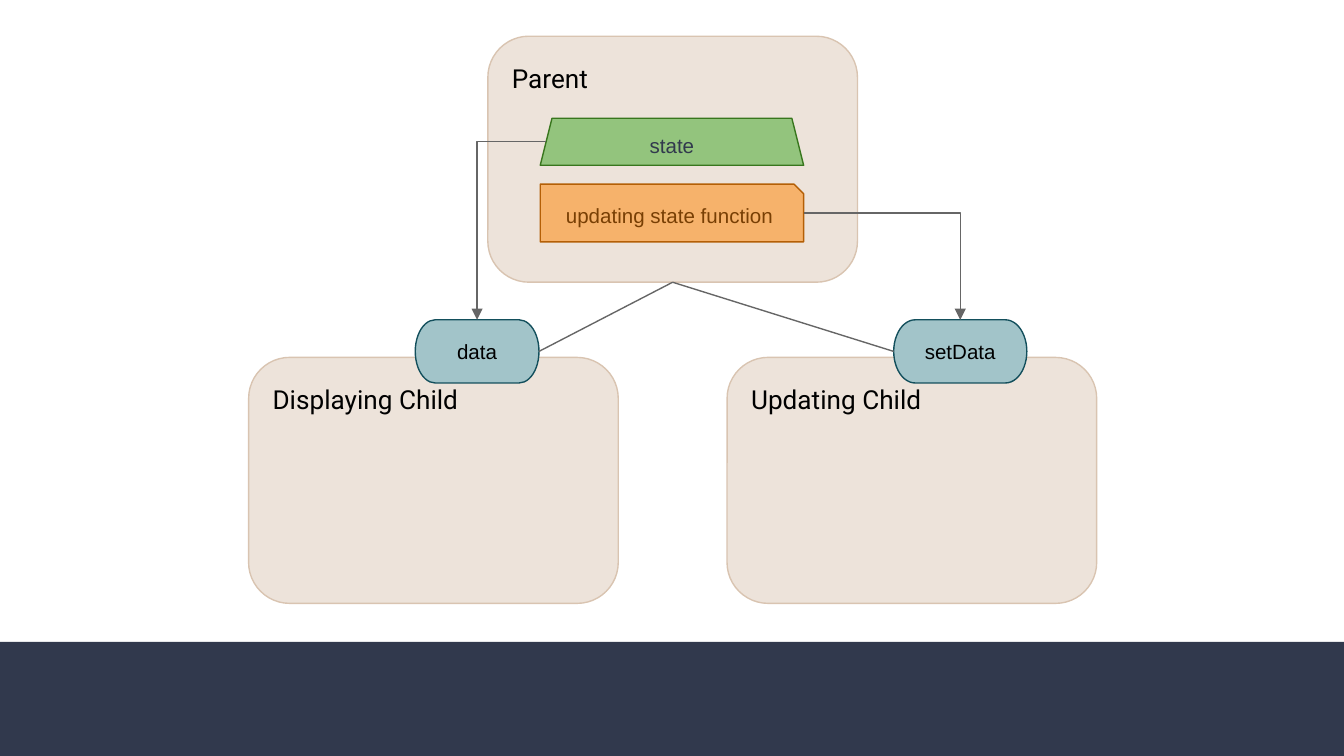
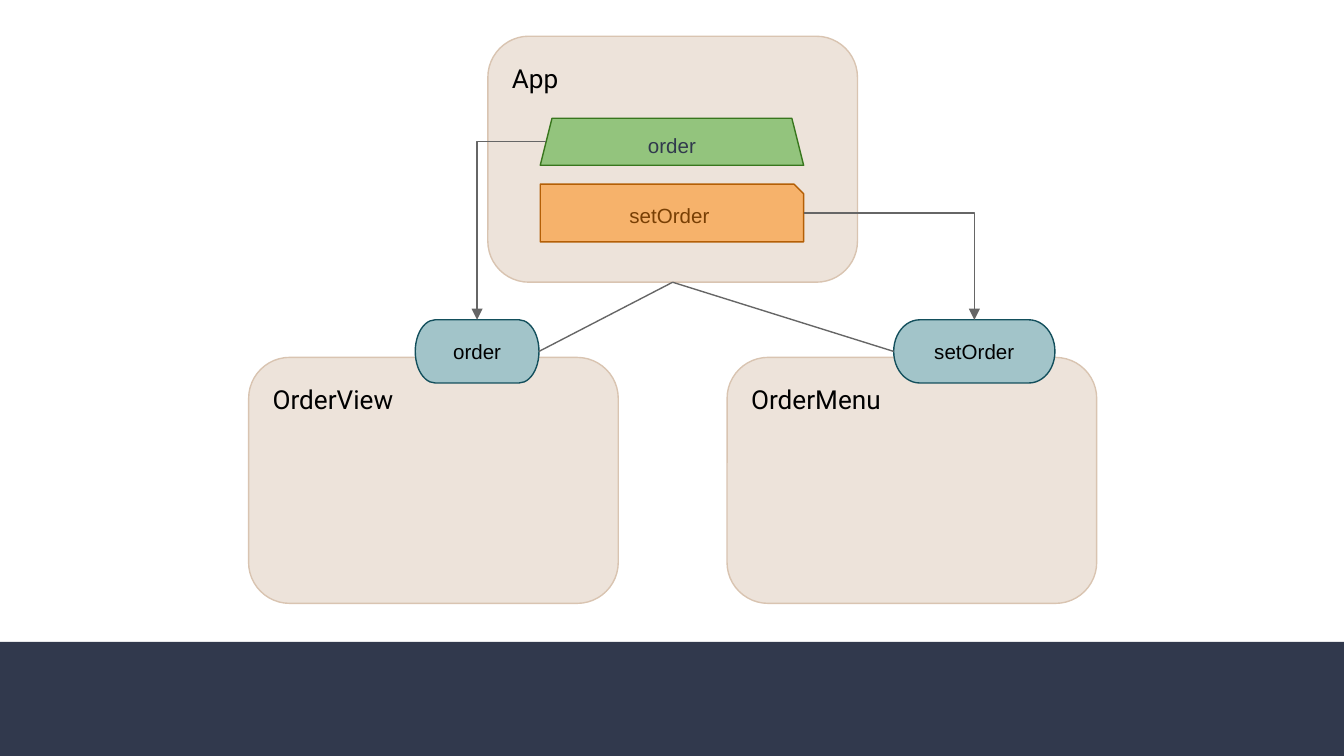
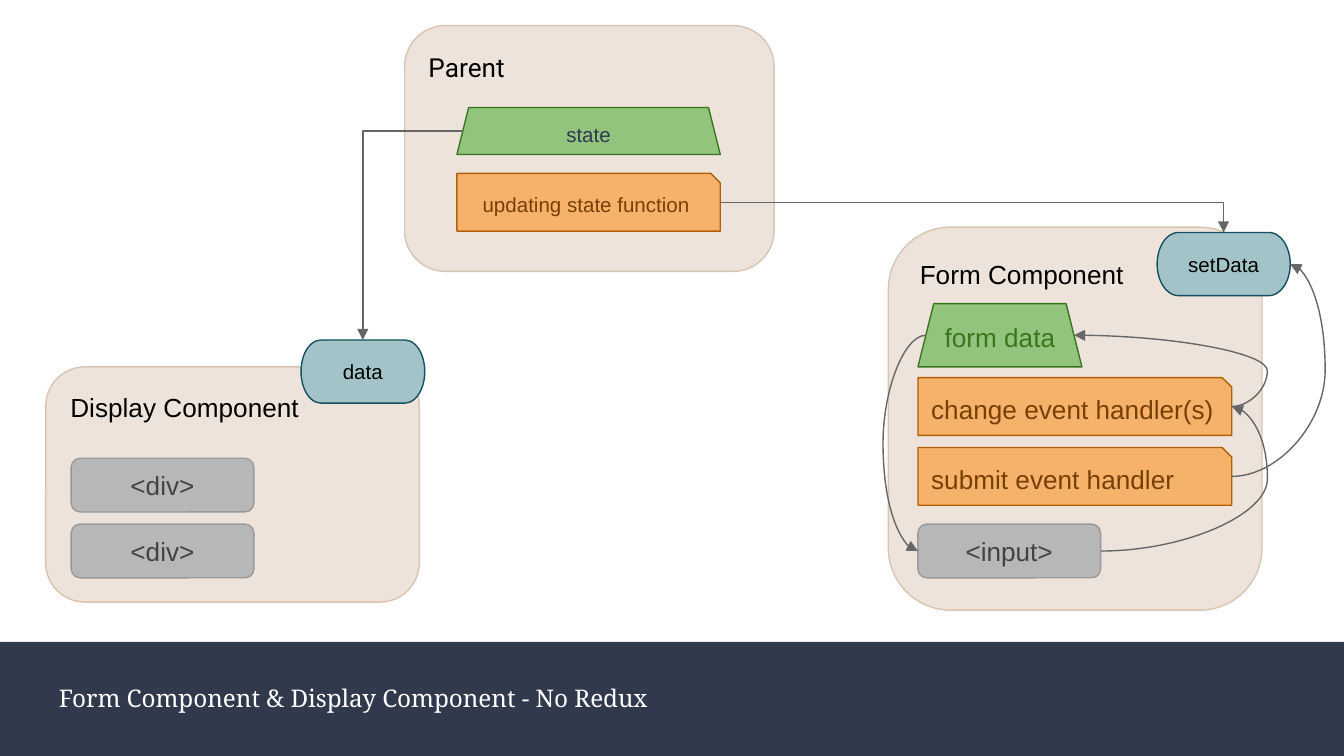
from lxml.etree import SubElement
from pptx import Presentation
from pptx.dml.color import RGBColor
from pptx.enum.shapes import MSO_CONNECTOR, MSO_SHAPE
from pptx.enum.text import MSO_ANCHOR, MSO_AUTO_SIZE, PP_ALIGN
from pptx.oxml.ns import qn
from pptx.util import Inches, Pt

WIDTH = Inches(10)
HEIGHT = WIDTH * 9 // 16
CELL = WIDTH // 100  # the grid has 100 columns and 56.25 rows of square cells
TOP, LEFT, BOTTOM, RIGHT = range(4)  # connection sites

# (fill, outline) of each kind of part
BAND = ("31394D", None)
PANEL = ("EDE3DA", "D9C4B1")
STATE = ("93C47D", "38761D")
HANDLER = ("F6B26B", "B45F06")
PROP = ("A2C4C9", "134F5C")
ELEMENT = ("B7B7B7", "999999")

# text colours
BLACK, WHITE, NAVY, BROWN, GREY = "000000", "FFFFFF", "31394D", "783F04", "434343"
WIRE = "666666"


def color(hex_code):
    return RGBColor.from_string(hex_code)


def write(frame, text, size=11, ink=BLACK, font="Arial", align=PP_ALIGN.CENTER,
          anchor=MSO_ANCHOR.MIDDLE, right_margin=1):
    frame.word_wrap = True
    frame.vertical_anchor = anchor
    frame.margin_left = frame.margin_top = frame.margin_bottom = CELL
    frame.margin_right = round(right_margin * CELL)
    paragraph = frame.paragraphs[0]
    paragraph.alignment = align
    run = paragraph.add_run()
    run.text = text
    run.font.size = Pt(size)
    run.font.name = font
    run.font.color.rgb = color(ink)


def side(shape, site):
    """Return the point in the middle of one side of a shape."""
    x, y, w, h = shape.left, shape.top, shape.width, shape.height
    slant = h // 8 if shape.auto_shape_type == MSO_SHAPE.TRAPEZOID else 0
    return {TOP: (x + w // 2, y), LEFT: (x + slant, y + h // 2),
            BOTTOM: (x + w // 2, y + h), RIGHT: (x + w - slant, y + h // 2)}[site]


class Diagram:
    def __init__(self):
        self.deck = Presentation()
        self.deck.slide_width, self.deck.slide_height = WIDTH, HEIGHT
        self.shapes = None

    def new_slide(self, caption=None):
        self.shapes = self.deck.slides.add_slide(self.deck.slide_layouts[6]).shapes
        self.block(MSO_SHAPE.RECTANGLE, (0, 47.75, 100, 8.5), BAND)
        if caption:
            self.label((3.4, 49.4, 87.3, 5), caption, size=13, ink=WHITE,
                       font="Noto Serif", anchor=MSO_ANCHOR.MIDDLE)

    # Basic elements
    def block(self, kind, cells, style, text=None, home=None, **text_format):
        shape = (home or self.shapes).add_shape(kind, *(round(c * CELL) for c in cells))
        shape.shadow.inherit = False
        fill, outline = style
        shape.fill.solid()
        shape.fill.fore_color.rgb = color(fill)
        if outline:
            shape.line.color.rgb = color(outline)
            shape.line.width = Pt(0.75)
        else:
            shape.line.fill.background()
        if text:
            write(shape.text_frame, text, **text_format)
        return shape

    def label(self, cells, text, home=None, grow=False, **text_format):
        box = (home or self.shapes).add_textbox(*(round(c * CELL) for c in cells))
        write(box.text_frame, text, align=PP_ALIGN.LEFT, **text_format)
        if grow:
            box.text_frame.auto_size = MSO_AUTO_SIZE.SHAPE_TO_FIT_TEXT

    # Parts of a component
    def panel(self, left, top, title):
        group = self.shapes.add_group_shape().shapes
        body = self.block(MSO_SHAPE.ROUNDED_RECTANGLE, (left, top, 27.5, 18.3), PANEL,
                          home=group)
        self.label((left + 0.8, top + 0.95, 21.4, 4.4), title, home=group, grow=True,
                   size=14, font="Roboto", anchor=MSO_ANCHOR.TOP)
        return body

    def titled_panel(self, cells, title):
        self.block(MSO_SHAPE.ROUNDED_RECTANGLE, cells, PANEL, title, size=14,
                   align=PP_ALIGN.LEFT, anchor=MSO_ANCHOR.TOP)

    def state(self, cells, text, **text_format):
        return self.block(MSO_SHAPE.TRAPEZOID, cells, STATE, text,
                          anchor=MSO_ANCHOR.TOP, **text_format)

    def handler(self, cells, text, **text_format):
        return self.block(MSO_SHAPE.SNIP_1_RECTANGLE, cells, HANDLER, text,
                          ink=BROWN, **text_format)

    def prop(self, left, top, width, text):
        return self.block(MSO_SHAPE.FLOWCHART_TERMINATOR, (left, top, width, 4.7),
                          PROP, text)

    def element(self, left, top, tag):
        return self.block(MSO_SHAPE.ROUNDED_RECTANGLE, (left, top, 13.6, 4), ELEMENT,
                          tag, size=14, ink=GREY)

    def parent(self, left, top, title, state, updater):
        body = self.panel(left, top, title)
        value = self.state((left + 3.9, top + 6.1, 19.6, 3.5), state, ink=NAVY)
        setter = self.handler((left + 3.9, top + 11, 19.6, 4.3), updater)
        return body, value, setter

    # Connectors
    def wire(self, kind, start, start_site, end, end_site, arrow=True):
        wire = self.shapes.add_connector(kind, *side(start, start_site),
                                         *side(end, end_site))
        wire.line.color.rgb = color(WIRE)
        wire.line.width = Pt(0.75)
        properties = wire._element.spPr
        if arrow:
            SubElement(properties.find(qn("a:ln")), qn("a:tailEnd"), type="triangle")
        SubElement(properties, qn("a:effectLst"))
        return wire

    def branch(self, start, start_site, end, end_site):
        wire = self.wire(MSO_CONNECTOR.STRAIGHT, start, start_site, end, end_site, False)
        wire.begin_connect(start, start_site)
        wire.end_connect(end, end_site)

    def drop(self, start, start_site, end):
        """Run sideways, turn once and come down on the top of a part."""
        wire = self.wire(MSO_CONNECTOR.ELBOW, start, start_site, end, TOP)
        wire._element.spPr.find(qn("a:prstGeom")).set("prst", "bentConnector2")

    def loop(self, start, start_site, end, end_site, via):
        """Curve out to the column `via` and back."""
        wire = self.wire(MSO_CONNECTOR.CURVE, start, start_site, end, end_site)
        bulge = (via * CELL - wire.begin_x) / (wire.end_x - wire.begin_x)
        guides = wire._element.spPr.find(qn("a:prstGeom")).get_or_add_avLst()
        SubElement(guides, qn("a:gd"), name="adj1", fmla=f"val {round(bulge * 100000)}")

    # Whole slide: one parent sharing state with two children
    def shared_state(self, parent, view, editor, data, setter, setter_width):
        self.new_slide()
        body, value, updater = self.parent(36.3, 2.7, *parent)
        self.panel(54.1, 26.6, editor)
        self.panel(18.5, 26.6, view)
        setter_prop = self.prop(66.5, 23.8, setter_width, setter)
        data_prop = self.prop(30.9, 23.8, 9.2, data)
        self.branch(body, BOTTOM, data_prop, RIGHT)
        self.branch(body, BOTTOM, setter_prop, LEFT)
        self.drop(value, LEFT, data_prop)
        self.drop(updater, RIGHT, setter_prop)

    # Whole slide: a form and a display that share a parent
    def form_and_display(self):
        self.new_slide("Form Component & Display Component - No Redux")
        self.titled_panel((66.1, 16.9, 27.8, 28.5), "Form Component")
        self.titled_panel((3.4, 27.3, 27.8, 17.5), "Display Component")

        # Component contents
        for top in (39, 34.1):
            self.element(5.3, top, "<div>")
        form_input = self.element(68.3, 39, "<input>")
        form_data = self.state((68.3, 22.6, 12.2, 4.7), "form data", size=14,
                               ink=STATE[1])
        # A narrow right margin keeps each handler's name on one line
        change, submit = [
            self.handler((68.3, top, 23.35, 4.3), text, size=14, align=PP_ALIGN.LEFT,
                         right_margin=0.2)
            for top, text in ((28.1, "change event handler(s)"),
                              (33.3, "submit event handler"))]

        # Parent and the props it hands down
        _, value, updater = self.parent(30.1, 1.9, "Parent", "state",
                                        "updating state function")
        setter_prop = self.prop(86.1, 17.3, 9.9, "setData")
        data_prop = self.prop(22.4, 25.3, 9.2, "data")
        self.drop(value, LEFT, data_prop)
        self.drop(updater, RIGHT, setter_prop)

        # Event flow inside the form
        self.loop(change, RIGHT, form_data, RIGHT, via=94.3)
        self.loop(form_data, LEFT, form_input, LEFT, via=65.7)
        self.loop(form_input, RIGHT, change, RIGHT, via=94.3)
        self.loop(submit, RIGHT, setter_prop, RIGHT, via=98.6)


def main():
    diagram = Diagram()
    diagram.shared_state(("Parent", "state", "updating state function"),
                         "Displaying Child", "Updating Child", "data", "setData", 9.9)
    diagram.shared_state(("App", "order", "setOrder"),
                         "OrderView", "OrderMenu", "order", "setOrder", 12)
    diagram.form_and_display()
    diagram.deck.save("out.pptx")


if __name__ == "__main__":
    main()
